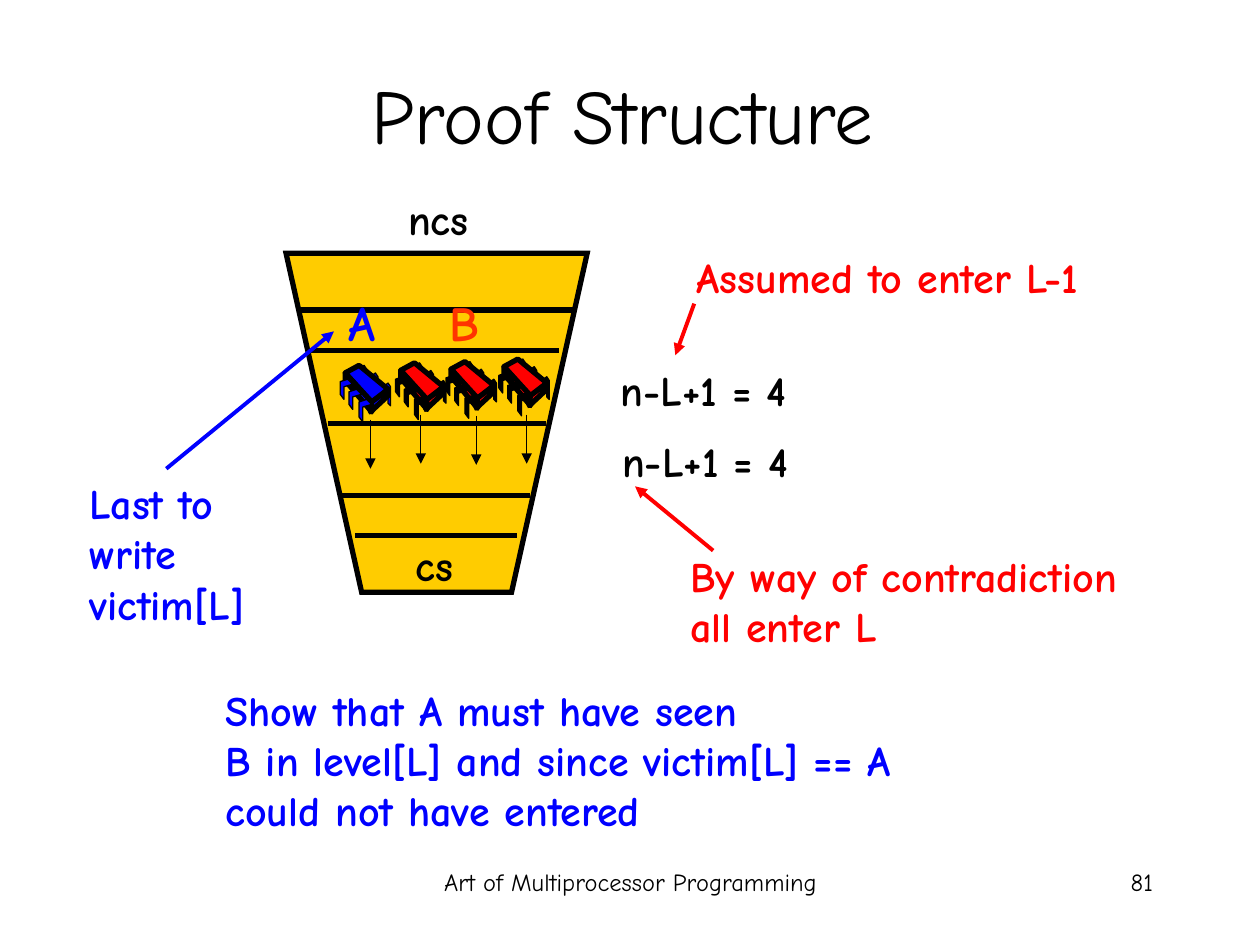
from pptx import Presentation
from pptx.dml.color import RGBColor
from pptx.enum.shapes import MSO_CONNECTOR as CONN
from pptx.enum.text import MSO_ANCHOR as ANCHOR, MSO_AUTO_SIZE as AUTO, PP_ALIGN as ALIGN
from pptx.oxml.ns import qn
from pptx.util import Inches, Pt
from lxml.etree import SubElement

BLACK = RGBColor(0x00, 0x00, 0x00)
RED = RGBColor(0xFF, 0x00, 0x00)
ORANGE = RGBColor(0xFF, 0x33, 0x00)
BLUE = RGBColor(0x00, 0x00, 0xFF)
YELLOW = RGBColor(0xFF, 0xCC, 0x00)

# Chip outlines, in inches from the chip's top left corner
BACK_LEGS = [(0.34, 0.14, 0.18), (0.24, 0.06, 0.18), (0.15, 0, 0.16)]  # x, y, height
FRONT_LEGS = [(0.15, 0.27, 0.18), (0.07, 0.19, 0.16), (0, 0.11, 0.16)]
BODY = [
    [(0.15, 0), (0.38, 0.19), (0.25, 0.30), (0.04, 0.06)],
    [(0.04, 0.06), (0.25, 0.29), (0.25, 0.37), (0.04, 0.12)],
    [(0.38, 0.19), (0.38, 0.24), (0.24, 0.37), (0.25, 0.29)],
]


def back_leg(h):
    return [(0, 0.03), (0.04, 0), (0.06, 0.03), (0.06, h), (0.04, h - 0.02),
            (0.04, 0.05), (0, 0.08)]


def front_leg(h):
    return [(0.06, 0), (0.10, 0.04), (0.03, 0.06), (0.03, h), (0, h - 0.04), (0, 0.02)]


def moved(points, x, y):
    return [(x + px, y + py) for px, py in points]


class Deck:
    font = "Comic Neue"

    def __init__(self):
        self.prs = Presentation()
        self.prs.slide_width, self.prs.slide_height = Inches(10), Inches(7.5)
        self.s = self.prs.slides.add_slide(self.prs.slide_layouts[6])

    def text(self, x, y, w, h, lines, color=BLACK, size=24, bold=True,
             align=ALIGN.LEFT, anchor=ANCHOR.TOP, wrap=False):
        tf = self.s.shapes.add_textbox(Inches(x), Inches(y), Inches(w), Inches(h)).text_frame
        tf.word_wrap = wrap
        tf.auto_size = AUTO.NONE if wrap else AUTO.SHAPE_TO_FIT_TEXT
        tf.vertical_anchor = anchor
        tf.text = "\n".join(lines)
        for p in tf.paragraphs:
            p.alignment = align
            p.font.name, p.font.size, p.font.bold = self.font, Pt(size), bold
            p.font.color.rgb = color

    def line(self, x1, y1, x2, y2, color=BLACK, width=3, arrow=False):
        c = self.s.shapes.add_connector(
            CONN.STRAIGHT, Inches(x1), Inches(y1), Inches(x2), Inches(y2))
        c.line.color.rgb, c.line.width = color, Pt(width)
        if arrow:
            SubElement(c.line._get_or_add_ln(), qn("a:tailEnd"), type="triangle")
        SubElement(c._element.spPr, qn("a:effectLst"))

    def polygon(self, points, fill, width, sharp=False):
        """Add a closed outline with sharp or rounded corners."""
        start, *rest = [(Inches(x), Inches(y)) for x, y in points]
        builder = self.s.shapes.build_freeform(*start)
        builder.add_line_segments(rest, close=True)
        sp = builder.convert_to_shape()
        sp.shadow.inherit = False
        sp.fill.solid()
        sp.fill.fore_color.rgb = fill
        sp.line.color.rgb, sp.line.width = BLACK, Pt(width)
        ln = sp.line._get_or_add_ln()
        if sharp:
            SubElement(ln, qn("a:miter"), lim="800000")
        else:
            SubElement(ln, qn("a:round"))
        return sp

    def chip(self, x, y, body, legs):
        parts = [self.polygon(moved(back_leg(h), x + dx, y + dy), legs, 0.75)
                 for dx, dy, h in BACK_LEGS]
        parts += [self.polygon(moved(face, x, y), body, 3) for face in BODY]
        parts += [self.polygon(moved(front_leg(h), x + dx, y + dy), legs, 0.75)
                  for dx, dy, h in FRONT_LEGS]
        self.s.shapes.add_group_shape(parts)


def main():
    d = Deck()
    d.text(3.42, 6.83, 3.17, 0.5, ["Art of Multiprocessor Programming"], size=14,
           bold=False, align=ALIGN.CENTER, wrap=True)
    d.text(7.17, 6.83, 2.08, 0.5, ["81"], size=14, bold=False, align=ALIGN.RIGHT, wrap=True)
    d.text(0.69, 0.28, 8.5, 1.25, ["Proof Structure"], size=44, bold=False,
           align=ALIGN.CENTER, anchor=ANCHOR.MIDDLE, wrap=True)

    # Funnel of levels
    d.text(3.14, 1.49, 0.68, 0.5, ["ncs"])
    d.polygon([(2.27, 2.01), (2.87, 4.7), (4.06, 4.7), (4.66, 2.01)], YELLOW, 3, sharp=True)
    for x1, x2, y in [(2.39, 4.55, 2.46), (2.44, 4.44, 2.78), (2.6, 4.33, 3.36),
                      (2.82, 4.1, 4.25), (2.71, 4.21, 3.93)]:
        d.line(x1, y, x2, y)
    d.text(3.2, 4.23, 0.5, 0.5, ["cs"])

    # Threads moving down a level
    for x, y, body, legs in [(3.54, 2.87, RED, BLACK), (3.14, 2.88, RED, BLACK),
                             (3.96, 2.85, RED, BLACK), (2.7, 2.9, BLUE, BLUE)]:
        d.chip(x, y, body, legs)
    for x, y in [(2.94, 3.33), (3.34, 3.29), (3.78, 3.3), (4.18, 3.29)]:
        d.line(x, y, x, y + 0.39, width=0.75, arrow=True)
    d.text(2.67, 2.27, 0.41, 0.57, ["A"], BLUE, 28)
    d.text(3.47, 2.27, 0.44, 0.57, ["B"], ORANGE, 28)

    # Counts and remarks
    for x, y in [(4.83, 2.84), (4.84, 3.41)]:
        d.text(x, y, 1.6, 0.5, ["n-L+1 = 4"])
    d.text(5.43, 1.95, 3.3, 0.5, ["Assumed to enter L-1"], RED)
    d.line(5.51, 2.41, 5.36, 2.82, RED, 2.25, arrow=True)
    d.text(5.38, 4.32, 3.65, 0.9, ["By way of contradiction", "all enter L"], RED)
    d.line(5.66, 4.37, 5.04, 3.86, RED, 2.25, arrow=True)
    d.text(0.61, 3.74, 1.45, 1.3, ["Last to", "write", "victim[L]"], BLUE)
    d.line(1.32, 3.72, 2.65, 2.63, BLUE, 2.25, arrow=True)
    d.text(1.69, 5.38, 5.55, 1.3, ["Show that A must have seen",
                                   "B in level[L] and since victim[L] == A",
                                   "could not have entered"], BLUE)
    d.prs.save("out.pptx")


if __name__ == "__main__":
    main()
